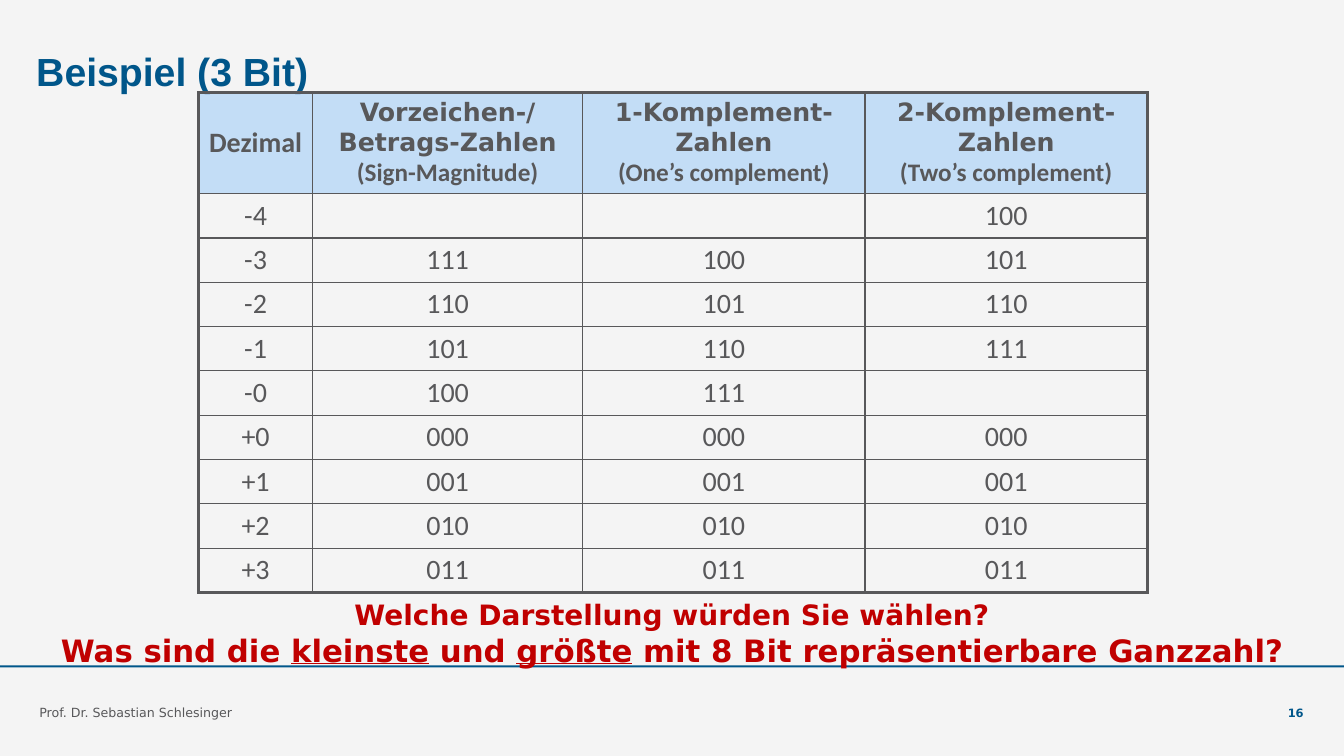
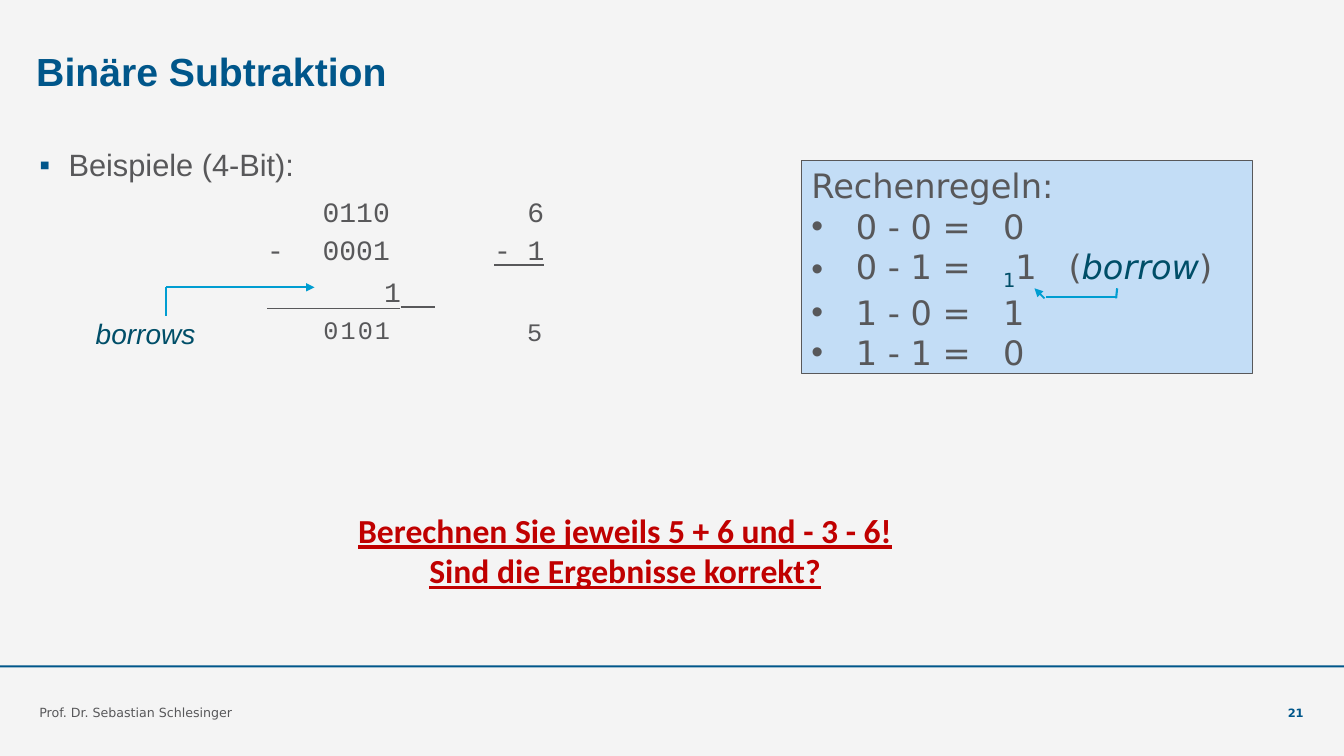
from dataclasses import dataclass, field

from lxml.etree import SubElement
from pptx import Presentation
from pptx.dml.color import RGBColor
from pptx.enum.shapes import MSO_CONNECTOR, MSO_SHAPE
from pptx.enum.text import MSO_ANCHOR, PP_ALIGN
from pptx.oxml.ns import qn
from pptx.util import Inches, Pt

TOP, MIDDLE, BOTTOM = MSO_ANCHOR.TOP, MSO_ANCHOR.MIDDLE, MSO_ANCHOR.BOTTOM
LEFT, CENTER, RIGHT = PP_ALIGN.LEFT, PP_ALIGN.CENTER, PP_ALIGN.RIGHT
STRAIGHT, RECT = MSO_CONNECTOR.STRAIGHT, MSO_SHAPE.RECTANGLE

PAPER, NAVY, GREY, RED = "F4F4F4", "00568A", "58585A", "C00000"
TEAL, CYAN, TINT = "004E68", "009DD1", "3399FF"
ARIAL, SANS, MONO, CALIBRI = "Arial", "DejaVu Sans", "Courier New", "Calibri"


def style(name: str, size: float, color: str = GREY, **more) -> dict:
    return {"name": name, "size": Pt(size), "color": color, **more}


TITLE = style(ARIAL, 28, NAVY, bold=True)
FOOTER = style(SANS, 9)
NUMBER = style(SANS, 8.2, NAVY, bold=True)
HEAD = style(CALIBRI, 20, bold=True)
NAME = style(SANS, 18, bold=True)
GLOSS = style(CALIBRI, 18, bold=True)
CELL = style(CALIBRI, 20)
ASK = style(SANS, 20, RED, bold=True)
ASK_BIG = {**ASK, "size": Pt(22)}
ASK_LINE = {**ASK_BIG, "underline": True}
TASK = style(CALIBRI, 24, RED, bold=True, underline=True)
POINT = style(ARIAL, 22)
CODE = style(MONO, 20)
CODE_LINE = {**CODE, "underline": True}
BORROW = style(ARIAL, 20, TEAL, italic=True)
DIGIT = style(MONO, 18)
RULE = style(SANS, 24)
RULE_NOTE = {**RULE, "color": TEAL, "italic": True}
RULE_SUB = {**RULE, "color": TEAL, "base": -25000}


@dataclass
class Para:
    """Runs are (text, style) pairs; tabs are lengths from the text edge."""
    runs: list
    align: PP_ALIGN = LEFT
    form: dict = field(default_factory=dict)
    tabs: tuple = ()
    hang: float = 0
    bullet: tuple = ()


@dataclass
class Line:
    start: tuple
    end: tuple
    color: str = CYAN
    width: float = 1.25
    arrow: bool = False


def rgb(color: str) -> RGBColor:
    return RGBColor.from_string(color)


def write(frame, paras: list) -> None:
    for i, para in enumerate(paras):
        p = frame.add_paragraph() if i else frame.paragraphs[0]
        p.alignment = para.align
        for key, value in para.form.items():
            setattr(p, key, value)
        for text, form in para.runs:
            if text == "\n":
                p.add_line_break()
                continue
            run = p.add_run()
            run.text = text
            for key, value in form.items():
                if key == "color":
                    run.font.color.rgb = rgb(value)
                elif key == "base":
                    run._r.get_or_add_rPr().set("baseline", str(value))
                else:
                    setattr(run.font, key, value)
        props = p._p.get_or_add_pPr()
        if para.hang:
            props.set("marL", str(Inches(para.hang)))
            props.set("indent", str(Inches(-para.hang)))
        if para.bullet:
            mark, color = para.bullet
            tint = SubElement(props, qn("a:buClr"))
            SubElement(tint, qn("a:srgbClr"), val=color)
            SubElement(props, qn("a:buFont"), typeface=ARIAL)
            SubElement(props, qn("a:buChar"), char=mark)
        if para.tabs:
            stops = SubElement(props, qn("a:tabLst"))
            for stop in para.tabs:
                SubElement(stops, qn("a:tab"), pos=str(Inches(stop)), algn="l")


def add_text(slide, at: tuple, paras: list, pad: tuple = (0, 0),
             anchor: MSO_ANCHOR = TOP, wrap: bool = True) -> None:
    """Add a text box; pad is the inset at the sides and at the top and bottom."""
    frame = slide.shapes.add_textbox(*map(Inches, at)).text_frame
    frame.word_wrap, frame.vertical_anchor = wrap, anchor
    frame.margin_left = frame.margin_right = Inches(pad[0])
    frame.margin_top = frame.margin_bottom = Inches(pad[1])
    write(frame, paras)


def add_line(slide, line: Line) -> None:
    link = slide.shapes.add_connector(
        STRAIGHT, *map(Inches, line.start + line.end))
    link.line.color.rgb = rgb(line.color)
    link.line.width = Pt(line.width)
    props = link._element.spPr
    if line.arrow:
        SubElement(props.find(qn("a:ln")), qn("a:headEnd"), type="triangle")
    SubElement(props, qn("a:effectLst"))


def tint(fill, owner) -> None:
    """Fill with the tint at a quarter of its strength."""
    fill.solid()
    fill.fore_color.rgb = rgb(TINT)
    color = owner.find(qn("a:solidFill")).find(qn("a:srgbClr"))
    SubElement(color, qn("a:alpha"), val="25000")


def add_box(slide, at: tuple):
    box = slide.shapes.add_shape(RECT, *map(Inches, at))
    box.shadow.inherit = False
    return box


def add_frame(deck, title: str, number: str):
    """Start a slide with its title, rule and footer."""
    slide = deck.slides.add_slide(deck.slide_layouts[6])
    band = add_box(slide, (0, 6.6, 13.33, 0.02))
    band.fill.solid()
    band.fill.fore_color.rgb = rgb(NAVY)
    band.line.fill.background()
    add_text(slide, (0.36, 0.43, 8.33, 0.63), [Para([(title, TITLE)])],
             (0, 0.04))
    add_text(slide, (0.39, 6.75, 9.2, 0.39), [
        Para([("Prof. Dr. Sebastian Schlesinger", FOOTER)])], anchor=BOTTOM)
    add_text(slide, (12.03, 6.75, 0.9, 0.39), [
        Para([(number, NUMBER)], RIGHT)], anchor=BOTTOM)
    return slide


HEADS = [
    [("Dezimal", HEAD)],
    [("Vorzeichen-/Betrags-Zahlen", NAME), ("\n", {}),
     ("(Sign-Magnitude)", GLOSS)],
    [("1-Komplement-Zahlen", NAME), ("\n", {}),
     ("(One’s complement)", GLOSS)],
    [("2-Komplement-Zahlen", NAME), ("\n", {}),
     ("(Two’s complement)", GLOSS)],
]
CODES = [
    ("-4", "", "", "100"),
    ("-3", "111", "100", "101"),
    ("-2", "110", "101", "110"),
    ("-1", "101", "110", "111"),
    ("-0", "100", "111", ""),
    ("+0", "000", "000", "000"),
    ("+1", "001", "001", "001"),
    ("+2", "010", "010", "010"),
    ("+3", "011", "011", "011"),
]
WIDTHS = (1.13, 2.68, 2.8, 2.8)
HEIGHTS = (0.98,) + (0.44,) * len(CODES)


def add_edges(cell, outer: dict) -> None:
    """Draw the cell's borders, thick where the table ends."""
    props = cell._tc.get_or_add_tcPr()
    for side, thick in outer.items():
        edge = SubElement(props, qn("a:ln" + side),
                          w=str(Pt(2.25 if thick else 1)))
        fill = SubElement(edge, qn("a:solidFill"))
        SubElement(fill, qn("a:srgbClr"), val=GREY)


def add_codes(slide) -> None:
    rows = HEADS, *[[[(text, CELL)] if text else [] for text in row]
                    for row in CODES]
    at = (1.97, 0.92, sum(WIDTHS), sum(HEIGHTS))
    table = slide.shapes.add_table(
        len(rows), len(WIDTHS), *map(Inches, at)).table
    table.first_row = table.horz_banding = False
    for col, width in zip(table.columns, WIDTHS):
        col.width = Inches(width)
    for row, height in zip(table.rows, HEIGHTS):
        row.height = Inches(height)
    for r, row in enumerate(rows):
        for c, runs in enumerate(row):
            cell = table.cell(r, c)
            cell.vertical_anchor = MIDDLE
            add_edges(cell, {"L": c == 0, "R": c == len(row) - 1,
                             "T": r == 0, "B": r == len(rows) - 1})
            if r:
                cell.fill.background()
            else:
                tint(cell.fill, cell._tc.tcPr)
            write(cell.text_frame, [Para(runs, CENTER)])


def add_sample(deck) -> None:
    slide = add_frame(deck, "Beispiel (3 Bit)", "16")
    add_codes(slide)
    add_text(slide, (0.42, 5.88, 12.49, 0.81), [
        Para([("Welche Darstellung würden Sie wählen?", ASK)], CENTER),
        Para([("Was sind die ", ASK_BIG), ("kleinste", ASK_LINE),
              (" und ", ASK_BIG), ("größte", ASK_LINE),
              (" mit 8 Bit repräsentierbare Ganzzahl?", ASK_BIG)], CENTER),
    ], (0.1, 0.05), wrap=False)


def add_rules(slide) -> None:
    box = add_box(slide, (7.95, 1.59, 4.47, 2.12))
    tint(box.fill, box._element.spPr)
    box.line.color.rgb = rgb(GREY)
    box.line.width = Pt(0.75)
    frame = box.text_frame
    frame.word_wrap, frame.vertical_anchor = True, TOP
    borrow = [("1", RULE_SUB), ("1\t(", RULE), ("borrow", RULE_NOTE),
              (")", RULE)]
    rules = [("0 - 0", [("0", RULE)]), ("0 - 1", borrow),
             ("1 - 0", [("1", RULE)]), ("1 - 1", [("0", RULE)])]
    write(frame, [Para([("Rechenregeln:", RULE)])] + [
        Para([(f"\t{term} =\t", RULE)] + result, tabs=(0.44, 1.9, 2.55),
             bullet=("•", GREY))
        for term, result in rules])


LINES = [
    Line((10.26, 2.86), (10.36, 2.96), arrow=True),
    Line((11.07, 2.95), (10.37, 2.95)),
    Line((11.08, 2.86), (11.07, 2.96), width=1.5),
    Line((3.12, 2.85), (1.65, 2.85), arrow=True),
    Line((1.65, 2.85), (1.65, 3.14)),
    Line((3.97, 3.06), (2.65, 3.06), GREY, 0.5),
]


def add_minus(deck) -> None:
    slide = add_frame(deck, "Binäre Subtraktion", "21")

    def gap(before: float, after: float = 0) -> dict:
        return {"line_spacing": 1.08, "space_before": Pt(before),
                "space_after": Pt(after)}

    add_text(slide, (0.39, 1.42, 7.4, 2.2), [
        Para([("Beispiele (4-Bit):", POINT)], form=gap(3.9, 6), hang=0.29,
             bullet=("▪", NAVY)),
        Para([("\t0110\t6", CODE)], form=gap(0), tabs=(2.81, 4.84)),
        Para([("\t-\t0001\t", CODE), ("- 1", CODE_LINE)], form=gap(1.6),
             tabs=(2.26, 2.81, 4.51)),
        Para([("\t1", CODE), ("  ", CODE_LINE)], form=gap(3.9), tabs=(3.42,)),
        Para([("\tborrows", BORROW)], form=gap(3.9), tabs=(0.56,)),
    ])
    add_rules(slide)
    digits = [(3.11 + 0.17 * i, 3.07, bit) for i, bit in enumerate("0101")]
    for x, y, digit in digits + [(5.13, 3.09, "5")]:
        add_text(slide, (x, y, 0.35, 0.4), [Para([(digit, DIGIT)])],
                 (0.1, 0.05), wrap=False)
    for line in LINES:
        add_line(slide, line)
    add_text(slide, (3.45, 5.01, 5.5, 0.91), [
        Para([("Berechnen Sie jeweils 5 + 6 und - 3 - 6! "
               "Sind die Ergebnisse korrekt?", TASK)], CENTER)], (0.05, 0.05))


def main() -> None:
    deck = Presentation()
    deck.slide_width, deck.slide_height = Inches(13.33), Inches(7.5)
    paper = deck.slide_master.background.fill
    paper.solid()
    paper.fore_color.rgb = rgb(PAPER)
    add_sample(deck)
    add_minus(deck)
    deck.save("out.pptx")


if __name__ == "__main__":
    main()
